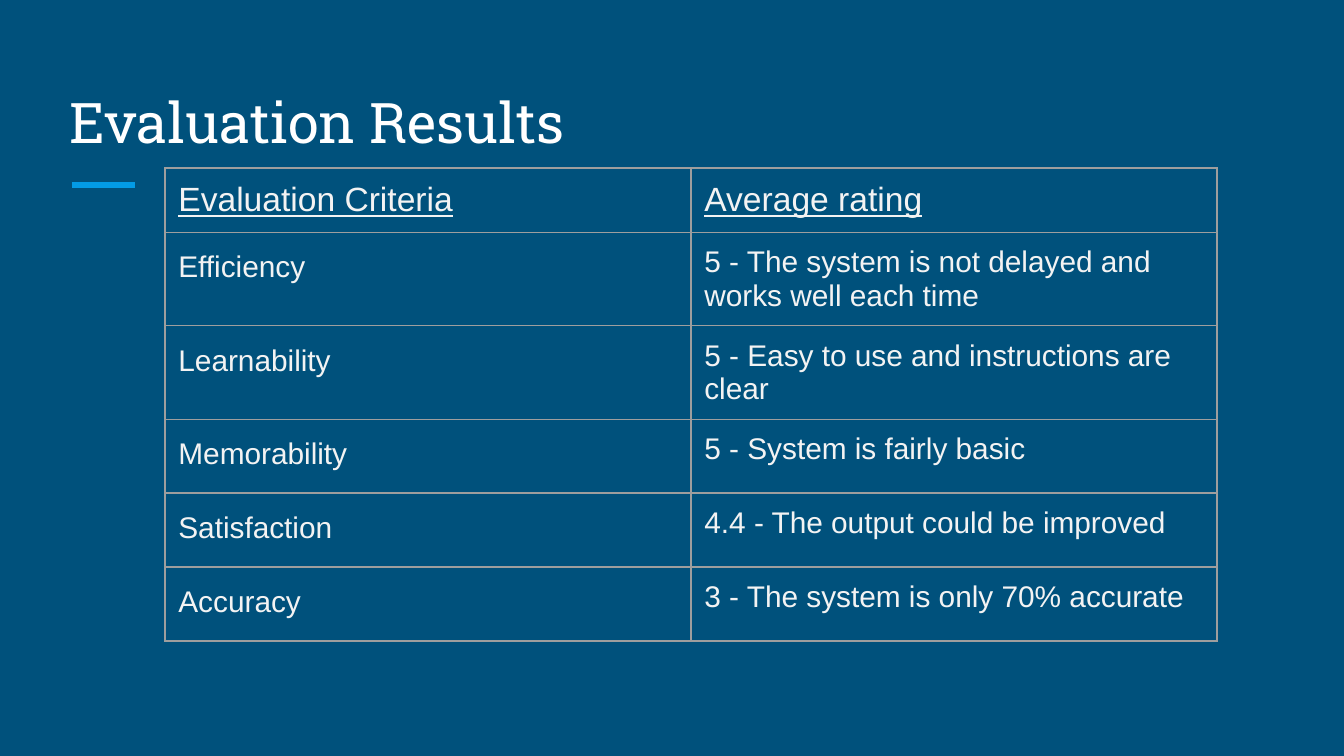
from lxml import etree
from pptx import Presentation
from pptx.dml.color import RGBColor
from pptx.enum import shapes, text
from pptx.oxml import parse_xml
from pptx.oxml.ns import nsdecls, qn
from pptx.util import Emu, Pt

PX = 914400 / 134.4
COLORS = {
    "background": "00517C",
    "title": "FFFFFF",
    "accent": "039BE5",
    "cell": "F3F3F3",
    "border": "9E9E9E",
}
HEADINGS = ("Evaluation Criteria", "Average rating")
RATINGS = [
    ("Efficiency", "5 - The system is not delayed and works well each time"),
    ("Learnability", "5 - Easy to use and instructions are clear"),
    ("Memorability", "5 - System is fairly basic"),
    ("Satisfaction", "4.4 - The output could be improved"),
    ("Accuracy", "3 - The system is only 70% accurate"),
]
ROW_HEIGHTS = (40, 67, 74, 74, 74, 74)
INSET = 13.44


def px(length):
    return Emu(round(length * PX))


def color(name):
    return RGBColor.from_string(COLORS[name])


def add_span(para, words, font, size, color_name, underline=False):
    span = para.add_run()
    span.text = words
    span.font.name = font
    span.font.size = Pt(size)
    span.font.bold = False
    span.font.underline = underline
    span.font.color.rgb = color(color_name)


def set_insets(box):
    box.margin_left = box.margin_right = px(INSET)
    box.margin_top = box.margin_bottom = px(INSET)


def draw_borders(cell):
    properties = cell._tc.get_or_add_tcPr()
    for index, side in enumerate("LRTB"):
        properties.insert(index, parse_xml(
            f'<a:ln{side} {nsdecls("a")} w="{Pt(0.75)}"><a:solidFill>'
            f'<a:srgbClr val="{COLORS["border"]}"/></a:solidFill></a:ln{side}>'))


def add_heading(page, left, top, width, height):
    # Title
    title = page.shapes.title
    title.left, title.top = px(left), px(top)
    title.width, title.height = px(width), px(height)
    box = title.text_frame
    set_insets(box)
    box.word_wrap = True
    box.auto_size = text.MSO_AUTO_SIZE.NONE
    box.vertical_anchor = text.MSO_ANCHOR.BOTTOM
    para = box.paragraphs[0]
    para.alignment = text.PP_ALIGN.LEFT
    add_span(para, "Evaluation Results", "Roboto Slab", 30, "title")

    # Accent rule under the title
    rule_y = px(top + height + 17)
    rule = page.shapes.add_connector(
        shapes.MSO_CONNECTOR.STRAIGHT,
        px(left + 16), rule_y, px(left + 79), rule_y)
    rule.line.color.rgb = color("accent")
    rule.line.width = Pt(3)
    etree.SubElement(rule._element.spPr, qn("a:effectLst"))


def add_ratings(page, left, top, width):
    rows = [HEADINGS, *RATINGS]
    table = page.shapes.add_table(
        len(rows), len(HEADINGS), px(left), px(top),
        px(width), px(sum(ROW_HEIGHTS))).table
    table.first_row = table.horz_banding = False
    for column in table.columns:
        column.width = px(width / len(HEADINGS))

    for row_index, row in enumerate(rows):
        table.rows[row_index].height = px(ROW_HEIGHTS[row_index])
        is_header = row_index == 0
        for column_index, words in enumerate(row):
            cell = table.cell(row_index, column_index)
            cell.fill.background()
            set_insets(cell)
            draw_borders(cell)
            para = cell.text_frame.paragraphs[0]
            # Criteria names are spaced more loosely than the ratings
            if column_index == 0 and not is_header:
                para.line_spacing = 1.15
                para.space_after = Pt(16)
            add_span(para, words, "Arial", 18 if is_header else 16,
                     "cell", underline=is_header)


def main():
    deck = Presentation()
    deck.slide_width, deck.slide_height = px(1344), px(756)
    page = deck.slides.add_slide(deck.slide_layouts.get_by_name("Title Only"))
    page.background.fill.solid()
    page.background.fill.fore_color.rgb = color("background")
    add_heading(page, 56, 67, 1230, 101)
    add_ratings(page, 165, 168, 1052)
    deck.save("out.pptx")


if __name__ == "__main__":
    main()
